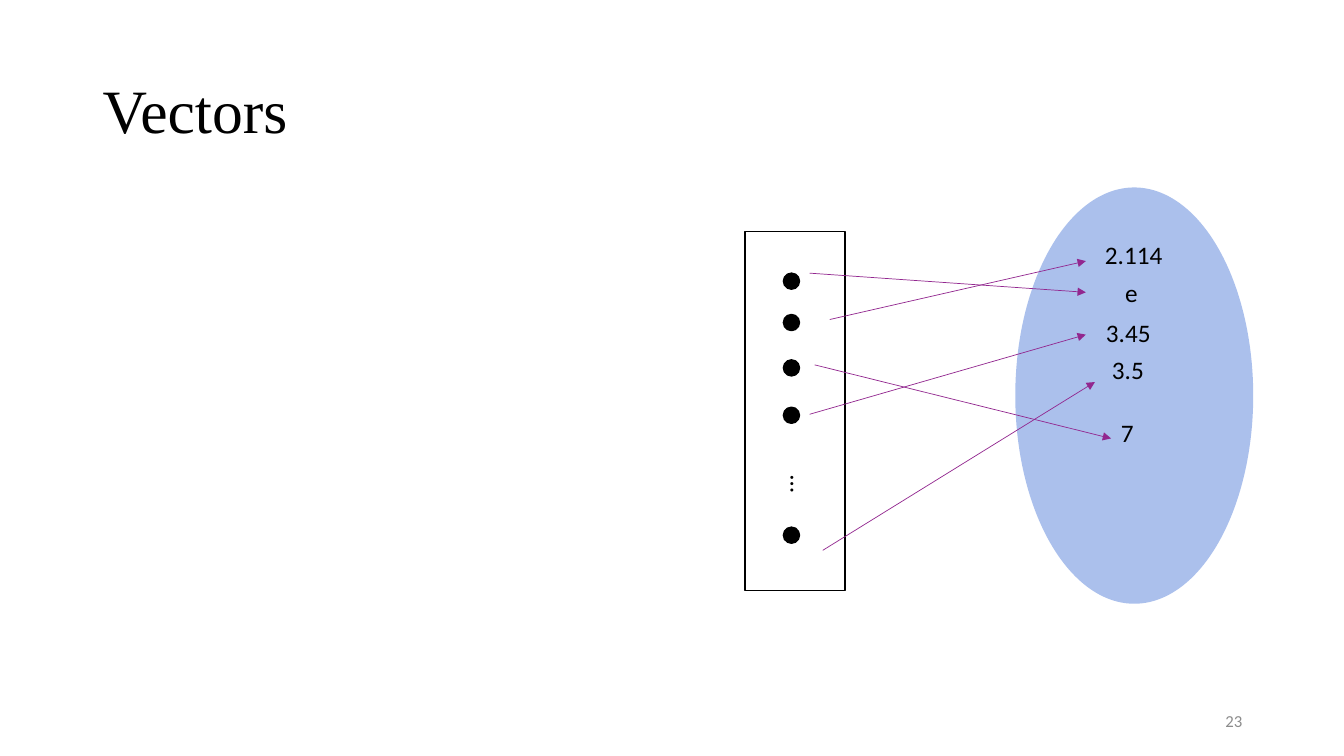
from lxml import etree
from pptx import Presentation
from pptx import util as u
from pptx.dml.color import RGBColor
from pptx.enum import shapes, text
from pptx.oxml.ns import qn

BLACK = RGBColor(0, 0, 0)
GREY = RGBColor(0x8C, 0x8C, 0x8C)
BLUE = RGBColor(0x59, 0x82, 0xDB)
PURPLE = RGBColor(0x92, 0x27, 0x8F)

TITLE = "Vectors"
PAGE_NUMBER = "23"
VALUES = [  # label, left, top, width
    ("2.114", 10.86, 2.33, 0.78),
    ("e", 11.06, 2.7, 0.33),
    ("3.45", 10.87, 3.1, 0.65),
    ("3.5", 10.93, 3.47, 0.52),
    ("7", 11.02, 4.09, 0.33),
]
ELEMENT_TOPS = [2.71, 3.12, 3.57, 4.04, 5.23]
ELEMENT_LEFT, ELEMENT_SIZE = 7.77, 0.16
VALUE_SET = (10.07, 1.86, 2.36, 4.13)
VECTOR = (7.39, 2.3, 0.99, 3.56)
MAPPINGS = [  # start x, start y, end x, end y
    (8.03, 2.71, 10.77, 2.9),
    (8.23, 3.17, 10.77, 2.59),
    (8.08, 3.62, 11.02, 4.35),
    (8.03, 4.11, 10.77, 3.32),
    (8.16, 5.46, 10.86, 3.79),
]
TEXT_HEIGHT = 0.4


def inches(lengths):
    return [u.Inches(length) for length in lengths]


def add_text(page, words, area, size=18, font="Calibri", color=BLACK,
             align=text.PP_ALIGN.LEFT, anchor=text.MSO_ANCHOR.TOP,
             wrap=False, spacing=1.0, rotation=0):
    box = page.shapes.add_textbox(*inches(area))
    box.rotation = rotation
    frame = box.text_frame
    frame.word_wrap = wrap
    frame.vertical_anchor = anchor
    para = frame.paragraphs[0]
    para.alignment = align
    para.line_spacing = spacing
    span = para.add_run()
    span.text = words
    span.font.size = u.Pt(size)
    span.font.name = font
    span.font.color.rgb = color


def add_outline(page, preset, area, fill=None, line=None, opacity=100):
    shape = page.shapes.add_shape(preset, *inches(area))
    shape.shadow.inherit = False
    if fill is None:
        shape.fill.background()
    else:
        shape.fill.solid()
        shape.fill.fore_color.rgb = fill
        if opacity < 100:
            color = shape.fill._xPr.find(qn("a:solidFill"))[0]
            etree.SubElement(color, qn("a:alpha"), val=str(opacity * 1000))
    if line is None:
        shape.line.fill.background()
    else:
        shape.line.color.rgb = line
        shape.line.width = u.Pt(1)


def add_arrow(page, ends):
    arrow = page.shapes.add_connector(shapes.MSO_CONNECTOR.STRAIGHT, *inches(ends))
    arrow.line.color.rgb = PURPLE
    arrow.line.width = u.Pt(0.5)
    etree.SubElement(arrow.line._get_or_add_ln(), qn("a:tailEnd"), type="triangle")
    etree.SubElement(arrow._element.spPr, qn("a:effectLst"))


def main():
    deck = Presentation()
    deck.slide_width, deck.slide_height = inches((13.33, 7.5))
    page = deck.slides.add_slide(deck.slide_layouts[6])
    oval = shapes.MSO_SHAPE.OVAL
    middle = text.MSO_ANCHOR.MIDDLE

    add_outline(page, oval, VALUE_SET, fill=BLUE, opacity=50)
    add_text(page, TITLE, (0.92, 0.4, 11.82, 1.45), size=44,
             font="Times New Roman", anchor=middle, wrap=True, spacing=0.9)
    add_text(page, PAGE_NUMBER, (9.42, 6.95, 3, TEXT_HEIGHT), size=12, color=GREY,
             align=text.PP_ALIGN.RIGHT, anchor=middle, wrap=True)
    for top in ELEMENT_TOPS:
        add_outline(page, oval, (ELEMENT_LEFT, top, ELEMENT_SIZE, ELEMENT_SIZE),
                    fill=BLACK, line=BLACK)
    add_text(page, "…", (7.74, 4.6, TEXT_HEIGHT, TEXT_HEIGHT),
             align=text.PP_ALIGN.CENTER, rotation=90)
    for label, left, top, width in VALUES:
        add_text(page, label, (left, top, width, TEXT_HEIGHT))
    add_outline(page, shapes.MSO_SHAPE.RECTANGLE, VECTOR, line=BLACK)
    for ends in MAPPINGS:
        add_arrow(page, ends)

    deck.save("out.pptx")


if __name__ == "__main__":
    main()
